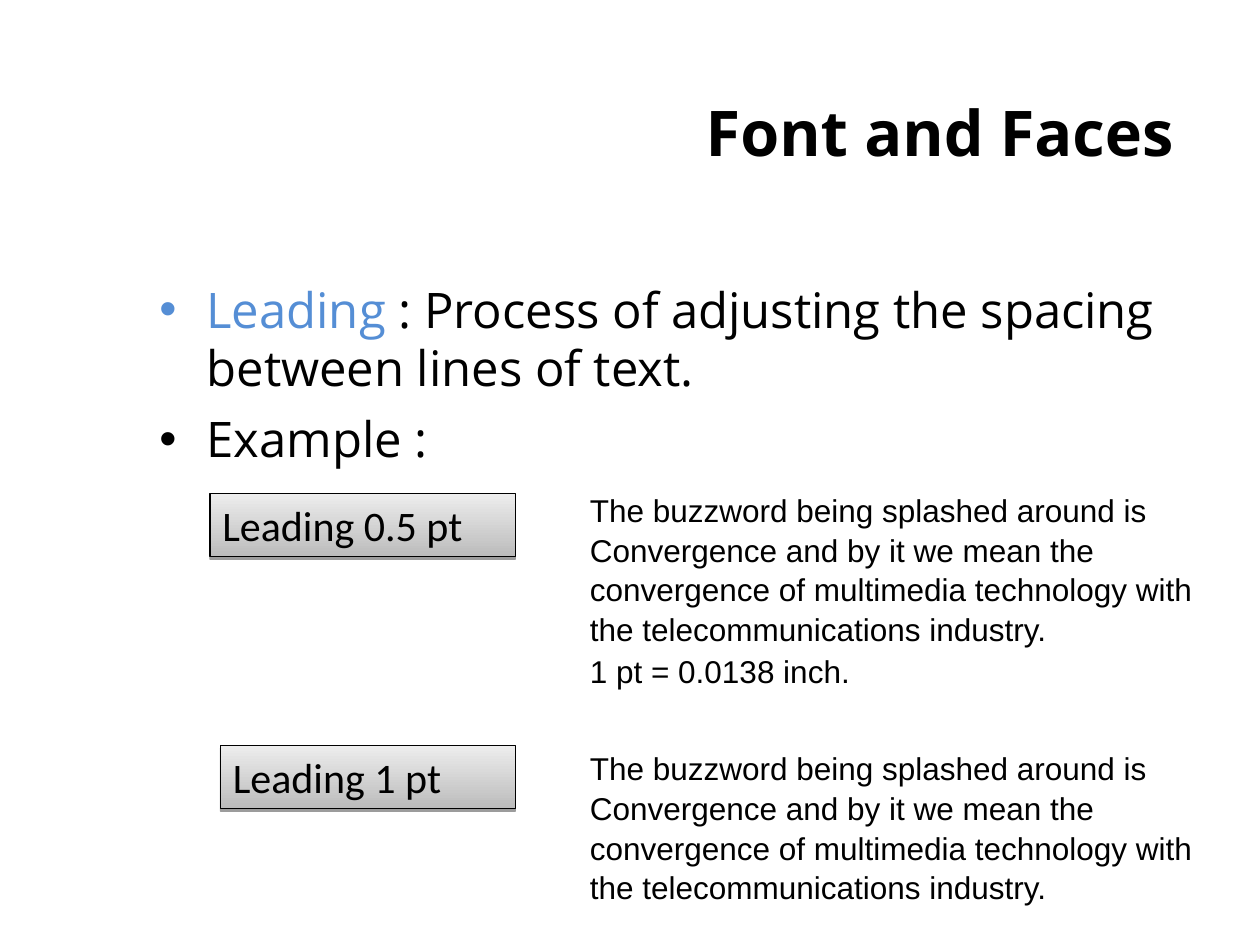
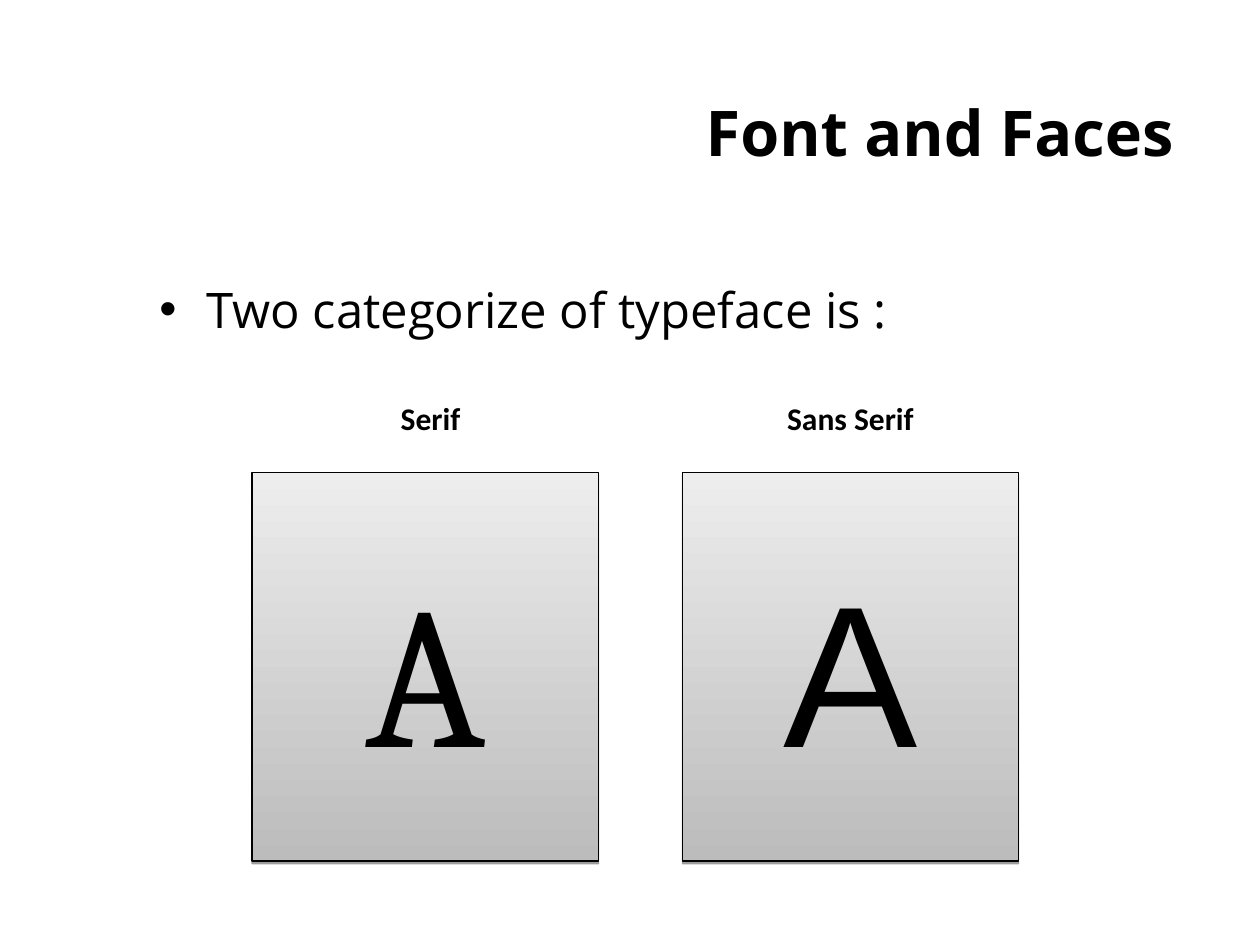
from dataclasses import dataclass
from lxml.etree import SubElement
from pptx import Presentation
from pptx.dml.color import RGBColor
from pptx.enum.shapes import MSO_SHAPE
from pptx.enum.text import MSO_ANCHOR, MSO_AUTO_SIZE, PP_ALIGN
from pptx.oxml import parse_xml
from pptx.oxml.ns import nsdecls, qn
from pptx.util import Pt


@dataclass(frozen=True)
class Theme:
    ink: str = "000000"
    accent: str = "558ED5"
    panel_dark: str = "BCBCBC"
    panel_light: str = "EDEDED"
    heading_font: str = "Open Sans"
    label_font: str = "Calibri"
    sample_font: str = "Arial"
    serif_font: str = "Cambria"
    title_size: float = 36
    body_size: float = 28
    label_size: float = 24
    sample_size: float = 18
    letter_size: float = 115


THEME = Theme()
BUZZWORD = ("The buzzword being splashed around is Convergence and by it we mean the "
            "convergence of multimedia technology with the telecommunications industry.")


def add_run(paragraph, text, font, size, color=THEME.ink, bold=False):
    run = paragraph.add_run()
    run.text = text
    run.font.name = font
    run.font.size = Pt(size)
    run.font.bold = bold
    run.font.color.rgb = RGBColor.from_string(color)


def paragraphs(frame, count):
    return [frame.paragraphs[0]] + [frame.add_paragraph() for _ in range(count - 1)]


def add_titled_slide(deck, title):
    slide = deck.slides.add_slide(deck.slide_layouts[5])
    heading = slide.shapes.title
    heading.left, heading.top, heading.width, heading.height = Pt(288), Pt(30), Pt(498), Pt(90)
    frame = heading.text_frame
    frame.vertical_anchor = MSO_ANCHOR.MIDDLE
    frame.paragraphs[0].alignment = PP_ALIGN.CENTER
    add_run(frame.paragraphs[0], title, THEME.heading_font, THEME.title_size, bold=True)
    return slide


def add_text_frame(slide, left, top, width, height):
    frame = slide.shapes.add_textbox(Pt(left), Pt(top), Pt(width), Pt(height)).text_frame
    frame.word_wrap = True
    return frame


def add_bullet(paragraph, color):
    properties = paragraph._p.get_or_add_pPr()
    properties.set("marL", str(Pt(27)))
    properties.set("indent", str(-Pt(27)))
    tint = SubElement(properties, qn("a:buClr"))
    SubElement(tint, qn("a:srgbClr"), val=color)
    SubElement(properties, qn("a:buFont"), typeface="Arial")
    SubElement(properties, qn("a:buChar"), char="•")


def add_bullets(slide, points):
    frame = add_text_frame(slide, 84, 156, 648, 356)
    for paragraph, point in zip(paragraphs(frame, len(points)), points):
        paragraph.space_before = Pt(7)
        paragraph.line_spacing = Pt(33.6)
        add_bullet(paragraph, point[0][1])
        for text, color in point:
            add_run(paragraph, text, THEME.heading_font, THEME.body_size, color)


def add_panel(slide, left, top, width, height, text, font, size, align=PP_ALIGN.LEFT):
    panel = slide.shapes.add_shape(MSO_SHAPE.RECTANGLE, Pt(left), Pt(top), Pt(width), Pt(height))
    panel.fill.gradient()
    panel.fill.gradient_angle = 90
    for stop, position, color in zip(panel.fill.gradient_stops, (0, 1),
                                     (THEME.panel_dark, THEME.panel_light)):
        stop.position = position
        stop.color.rgb = RGBColor.from_string(color)
    panel.line.color.rgb = RGBColor.from_string(THEME.ink)
    panel.line.width = Pt(0.74)
    panel._element.spPr.append(parse_xml(
        f'<a:effectLst {nsdecls("a")}><a:outerShdw dist="{Pt(1.6)}" dir="5400000" '
        f'rotWithShape="0"><a:srgbClr val="{THEME.ink}"><a:alpha val="38000"/>'
        '</a:srgbClr></a:outerShdw></a:effectLst>'))
    frame = panel.text_frame
    frame.word_wrap = True
    frame.vertical_anchor = MSO_ANCHOR.MIDDLE
    frame.paragraphs[0].alignment = align
    add_run(frame.paragraphs[0], text, font, size)


def add_sample(slide, top, width, height, gap, lines):
    frame = add_text_frame(slide, 330, top, width, height)
    frame.auto_size = MSO_AUTO_SIZE.SHAPE_TO_FIT_TEXT
    for paragraph, text in zip(paragraphs(frame, len(lines)), lines):
        paragraph.space_before = paragraph.space_after = Pt(gap)
        paragraph.line_spacing = 1.05
        add_run(paragraph, text, THEME.sample_font, THEME.sample_size)


def add_category_table(slide, names):
    table = slide.shapes.add_table(2, len(names), Pt(126), Pt(200), Pt(480), Pt(340)).table
    table.first_row = table.horz_banding = False
    table.rows[0].height, table.rows[1].height = Pt(54.5), Pt(285.5)
    for cell in table.iter_cells():
        cell.fill.background()
    for cell, name in zip(table.rows[0].cells, names):
        cell.vertical_anchor = MSO_ANCHOR.BOTTOM
        paragraph = cell.text_frame.paragraphs[0]
        paragraph.alignment = PP_ALIGN.CENTER
        add_run(paragraph, name, THEME.label_font, THEME.sample_size, bold=True)


def build_leading_slide(deck):
    slide = add_titled_slide(deck, "Font and Faces")
    add_bullets(slide, [
        [("Leading", THEME.accent),
         (" : Process of adjusting the spacing between lines of text.", THEME.ink)],
        [("Example : ", THEME.ink)],
    ])
    label_style = (THEME.label_font, THEME.label_size)
    add_panel(slide, 120, 282, 174.5, 36, "Leading 0.5 pt", *label_style)
    add_sample(slide, 276, 360, 138, 0.5, [BUZZWORD, "1 pt = 0.0138 inch."])
    add_panel(slide, 126, 426, 168.5, 36, "Leading 1 pt", *label_style)
    add_sample(slide, 423.5, 366, 116.5, 1, [BUZZWORD])


def build_typeface_slide(deck):
    slide = add_titled_slide(deck, "Font and Faces")
    add_bullets(slide, [[("Two categorize of typeface is : ", THEME.ink)]])
    add_category_table(slide, ["Serif", "Sans Serif"])
    for left, width, font in ((144, 198, THEME.serif_font), (390, 192, THEME.sample_font)):
        add_panel(slide, left, 270, width, 222, "A", font, THEME.letter_size, PP_ALIGN.CENTER)


def main():
    deck = Presentation()
    deck.slide_width, deck.slide_height = Pt(720), Pt(540)
    build_leading_slide(deck)
    build_typeface_slide(deck)
    deck.save("out.pptx")


main()
